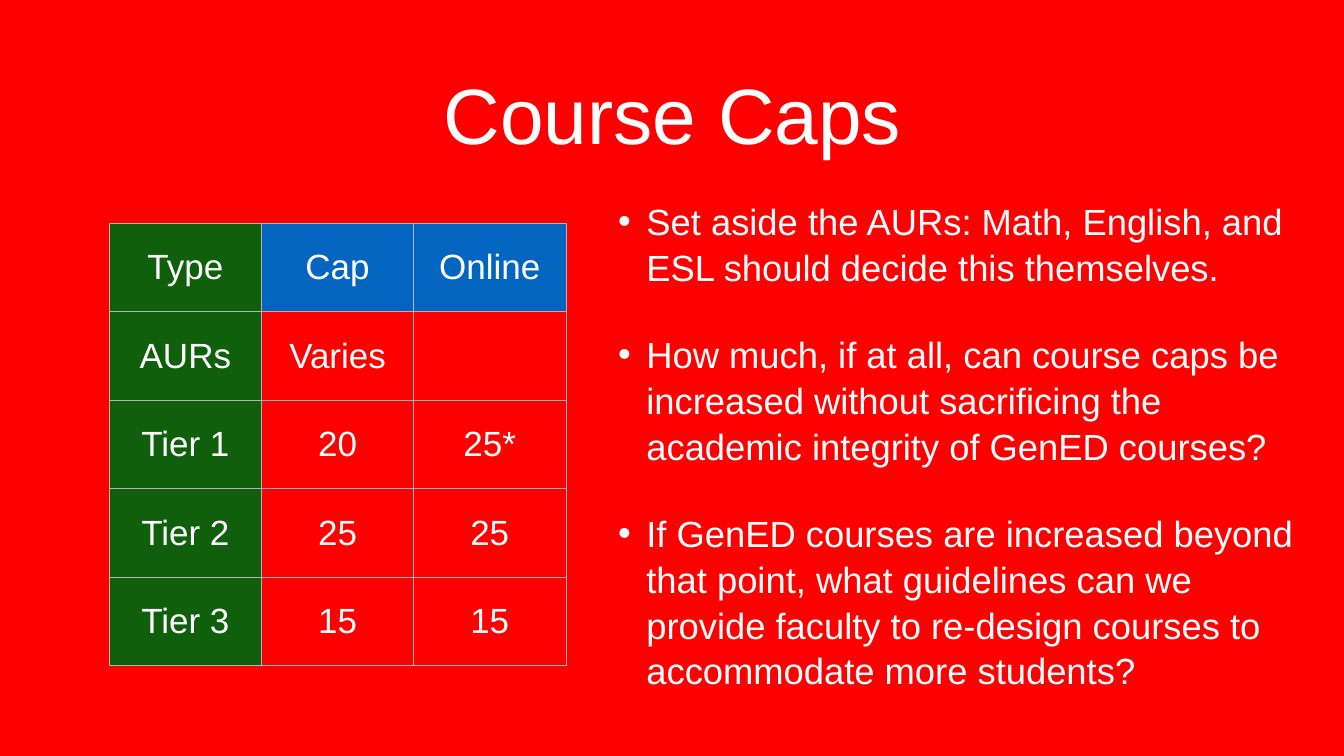
from dataclasses import dataclass
from typing import Any

from lxml.etree import SubElement
from pptx import Presentation
from pptx.dml.color import RGBColor
from pptx.enum.text import MSO_ANCHOR, MSO_AUTO_SIZE, PP_ALIGN
from pptx.oxml.ns import qn
from pptx.util import Cm, Pt


@dataclass(frozen=True)
class Theme:
    font: str = "Arial"
    background: str = "FF0000"
    text: str = "FFFFFF"
    header: str = "0365C0"
    row_label: str = "0F5F0C"
    border: str = "B4B4B4"
    title_size: int = 112
    list_size: int = 52
    table_size: int = 50
    paragraph_gap: int = 59
    line_spacing: float = 1.05


@dataclass(frozen=True)
class Box:
    left: float
    top: float
    width: float
    height: float


THEME = Theme()
INSET = Cm(0.15)
BULLET_INDENT = Cm(1.42)
COLUMN_WIDTH = Cm(7.67)
ROW_HEIGHT = Cm(4.46)
TITLE_BOX = Box(4.98, 1.57, 57.81, 8.28)
LIST_BOX = Box(31.01, 10.34, 34.9, 24.13)
TABLE_BOX = Box(5.51, 11.25, 23.01, 22.3)

COURSE_CAPS = [
    ("Type", "Cap", "Online"),
    ("AURs", "Varies", ""),
    ("Tier 1", "20", "25*"),
    ("Tier 2", "25", "25"),
    ("Tier 3", "15", "15"),
]
QUESTIONS = [
    "Set aside the AURs: Math, English, and ESL should decide this themselves.",
    "How much, if at all, can course caps be increased without sacrificing "
    "the academic integrity of GenED courses?",
    "If GenED courses are increased beyond that point, what guidelines can we "
    "provide faculty to re-design courses to accommodate more students?",
]


def color(value: str) -> RGBColor:
    return RGBColor.from_string(value)


def set_margins(target: Any) -> None:
    target.margin_left = target.margin_right = INSET
    target.margin_top = target.margin_bottom = INSET


def format_paragraph(paragraph: Any, size: int, alignment: PP_ALIGN) -> None:
    paragraph.alignment = alignment
    paragraph.font.name = THEME.font
    paragraph.font.size = Pt(size)
    paragraph.font.color.rgb = color(THEME.text)


def fill_placeholder(shape: Any, box: Box, lines: list[str], size: int, alignment: PP_ALIGN) -> None:
    shape.left, shape.top = Cm(box.left), Cm(box.top)
    shape.width, shape.height = Cm(box.width), Cm(box.height)
    frame = shape.text_frame
    frame.word_wrap = True
    frame.auto_size = MSO_AUTO_SIZE.NONE
    frame.vertical_anchor = MSO_ANCHOR.MIDDLE
    set_margins(frame)
    frame.text = "\n".join(lines)
    for paragraph in frame.paragraphs:
        format_paragraph(paragraph, size, alignment)


def format_list(frame: Any) -> None:
    for index, paragraph in enumerate(frame.paragraphs):
        paragraph.line_spacing = THEME.line_spacing
        paragraph.space_before = Pt(THEME.paragraph_gap if index else 0)
        properties = paragraph._p.get_or_add_pPr()
        properties.set("marL", str(BULLET_INDENT))
        properties.set("indent", str(-BULLET_INDENT))
        SubElement(properties, qn("a:buChar"), char="•") if properties.find(qn("a:defRPr")) is None else \
            properties.find(qn("a:defRPr")).addprevious(properties.makeelement(qn("a:buChar"), {"char": "•"}))


def add_borders(cell: Any) -> None:
    properties = cell._tc.get_or_add_tcPr()
    for index, side in enumerate(("lnL", "lnR", "lnT", "lnB")):
        line = properties.makeelement(qn(f"a:{side}"), {"w": str(Pt(1))})
        fill = SubElement(line, qn("a:solidFill"))
        SubElement(fill, qn("a:srgbClr"), val=THEME.border)
        properties.insert(index, line)


def format_cell(cell: Any, text: str, fill: str | None) -> None:
    cell.text = text
    cell.vertical_anchor = MSO_ANCHOR.MIDDLE
    set_margins(cell)
    format_paragraph(cell.text_frame.paragraphs[0], THEME.table_size, PP_ALIGN.CENTER)
    if fill:
        cell.fill.solid()
        cell.fill.fore_color.rgb = color(fill)
    else:
        cell.fill.background()
    add_borders(cell)


def add_caps_table(slide: Any) -> None:
    box = TABLE_BOX
    table = slide.shapes.add_table(
        len(COURSE_CAPS), len(COURSE_CAPS[0]),
        Cm(box.left), Cm(box.top), Cm(box.width), Cm(box.height),
    ).table
    table.first_row = table.horz_banding = False
    for column in table.columns:
        column.width = COLUMN_WIDTH
    for row_index, values in enumerate(COURSE_CAPS):
        table.rows[row_index].height = ROW_HEIGHT
        for column_index, text in enumerate(values):
            if column_index == 0:
                fill = THEME.row_label
            else:
                fill = THEME.header if row_index == 0 else None
            format_cell(table.cell(row_index, column_index), text, fill)


def main() -> None:
    presentation = Presentation()
    presentation.slide_width, presentation.slide_height = Cm(67.74), Cm(38.1)
    slide = presentation.slides.add_slide(presentation.slide_layouts[1])
    slide.background.fill.solid()
    slide.background.fill.fore_color.rgb = color(THEME.background)
    title, body = slide.placeholders
    fill_placeholder(title, TITLE_BOX, ["Course Caps"], THEME.title_size, PP_ALIGN.CENTER)
    add_caps_table(slide)
    fill_placeholder(body, LIST_BOX, QUESTIONS, THEME.list_size, PP_ALIGN.LEFT)
    format_list(body.text_frame)
    presentation.save("out.pptx")


if __name__ == "__main__":
    main()
